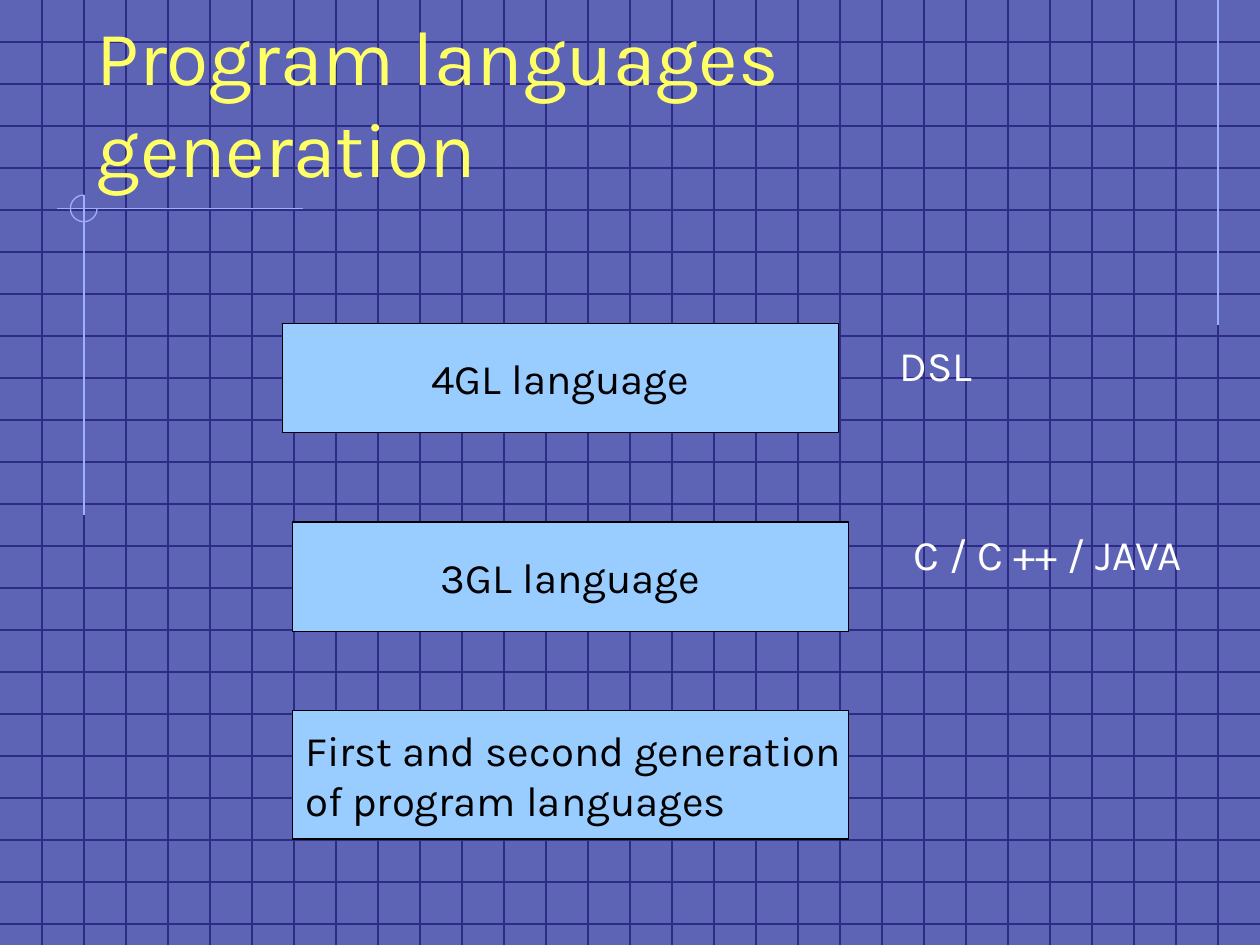
from dataclasses import dataclass

from lxml.etree import SubElement
from pptx import Presentation
from pptx.dml.color import RGBColor as Rgb
from pptx.enum.shapes import MSO_CONNECTOR as Link, MSO_SHAPE as Form
from pptx.enum.text import MSO_ANCHOR as Anchor, MSO_AUTO_SIZE as Fit, PP_ALIGN as Align
from pptx.oxml.ns import qn
from pptx.util import Pt

WIDE, HIGH, STEP = 720, 540, 24


@dataclass(frozen=True)
class Theme:
    face: str = "Karla"
    back: str = "5D63B5"
    grid: str = "2C2C86"
    trim: str = "9EB0FA"
    head: str = "FFFF66"
    box: str = "99CCFF"
    dark: str = "000000"
    light: str = "FFFFFF"
    big: int = 44
    body: int = 24
    rule: float = 0.75


class Deck:
    def __init__(self, theme):
        self.theme = theme
        self.file = Presentation()
        self.file.slide_width, self.file.slide_height = Pt(WIDE), Pt(HIGH)
        self.slide = self.file.slides.add_slide(self.file.slide_layouts[5])
        self.shapes = self.slide.shapes
        fill = self.slide.background.fill
        fill.solid()
        fill.fore_color.rgb = Rgb.from_string(theme.back)

    def ink(self, shape, color):
        shape.line.color.rgb = Rgb.from_string(color)
        shape.line.width = Pt(self.theme.rule)

    def set_text(self, frame, text, size, color, align=Align.LEFT):
        frame.text = text
        for para in frame.paragraphs:
            para.alignment = align
            font = para.font
            font.name, font.size = self.theme.face, Pt(size)
            font.color.rgb = Rgb.from_string(color)

    def line(self, x1, y1, x2, y2, color):
        rule = self.shapes.add_connector(Link.STRAIGHT, Pt(x1), Pt(y1), Pt(x2), Pt(y2))
        self.ink(rule, color)
        SubElement(rule.element.spPr, qn("a:effectLst"))

    def grid(self):
        for y in range(STEP, HIGH, STEP):
            self.line(0, y, WIDE, y, self.theme.grid)
        for x in range(STEP, WIDE, STEP):
            self.line(x, 0, x, HIGH, self.theme.grid)

    def arc(self, x, y, size):
        """Draw three quarters of a circle, open at the top right."""
        ring = self.shapes.add_shape(Form.ARC, Pt(x), Pt(y), Pt(size), Pt(size))
        ring.shadow.inherit = False
        ring.adjustments[0], ring.adjustments[1] = 0, 162
        ring.fill.background()
        self.ink(ring, self.theme.trim)

    def title(self, text, x, y, w, h):
        """Fill the title placeholder and bring it in front of the grid."""
        head = self.shapes.title
        head.left, head.top, head.width, head.height = Pt(x), Pt(y), Pt(w), Pt(h)
        frame = head.text_frame
        frame.word_wrap, frame.auto_size = True, Fit.NONE
        frame.vertical_anchor = Anchor.BOTTOM
        self.set_text(frame, text, self.theme.big, self.theme.head)
        head.element.getparent().append(head.element)

    def box(self, text, x, y, h, align=Align.CENTER):
        rect = self.shapes.add_shape(Form.RECTANGLE, Pt(x), Pt(y), Pt(317.5), Pt(h))
        rect.shadow.inherit = False
        rect.fill.solid()
        rect.fill.fore_color.rgb = Rgb.from_string(self.theme.box)
        self.ink(rect, self.theme.dark)
        frame = rect.text_frame
        frame.word_wrap, frame.vertical_anchor = False, Anchor.MIDDLE
        self.set_text(frame, text, self.theme.body, self.theme.dark, align)

    def label(self, text, x, y, w):
        note = self.shapes.add_textbox(Pt(x), Pt(y), Pt(w), Pt(36))
        frame = note.text_frame
        frame.word_wrap, frame.auto_size = False, Fit.SHAPE_TO_FIT_TEXT
        self.set_text(frame, text, self.theme.body, self.theme.light)


def main():
    theme = Theme()
    deck = Deck(theme)
    deck.grid()
    for ends in ((696, 0, 696, 186), (173, 119.25, 32.5, 119.25), (48, 111.5, 48, 294.5)):
        deck.line(*ends, theme.trim)
    deck.arc(40.25, 111.5, 15.25)
    deck.title("Program languages generation", 48, 24, 612, 90)
    deck.box("First and second generation\nof program languages", 167.25, 406, 73.5, Align.LEFT)
    deck.box("3GL language", 167.25, 298.25, 62.5)
    deck.box("4GL language", 161.5, 184.75, 62.5)
    deck.label("C / C ++ / JAVA", 515, 298.25, 172.75)
    deck.label("DSL", 507, 190.75, 57.5)
    deck.file.save("out.pptx")


if __name__ == "__main__":
    main()
